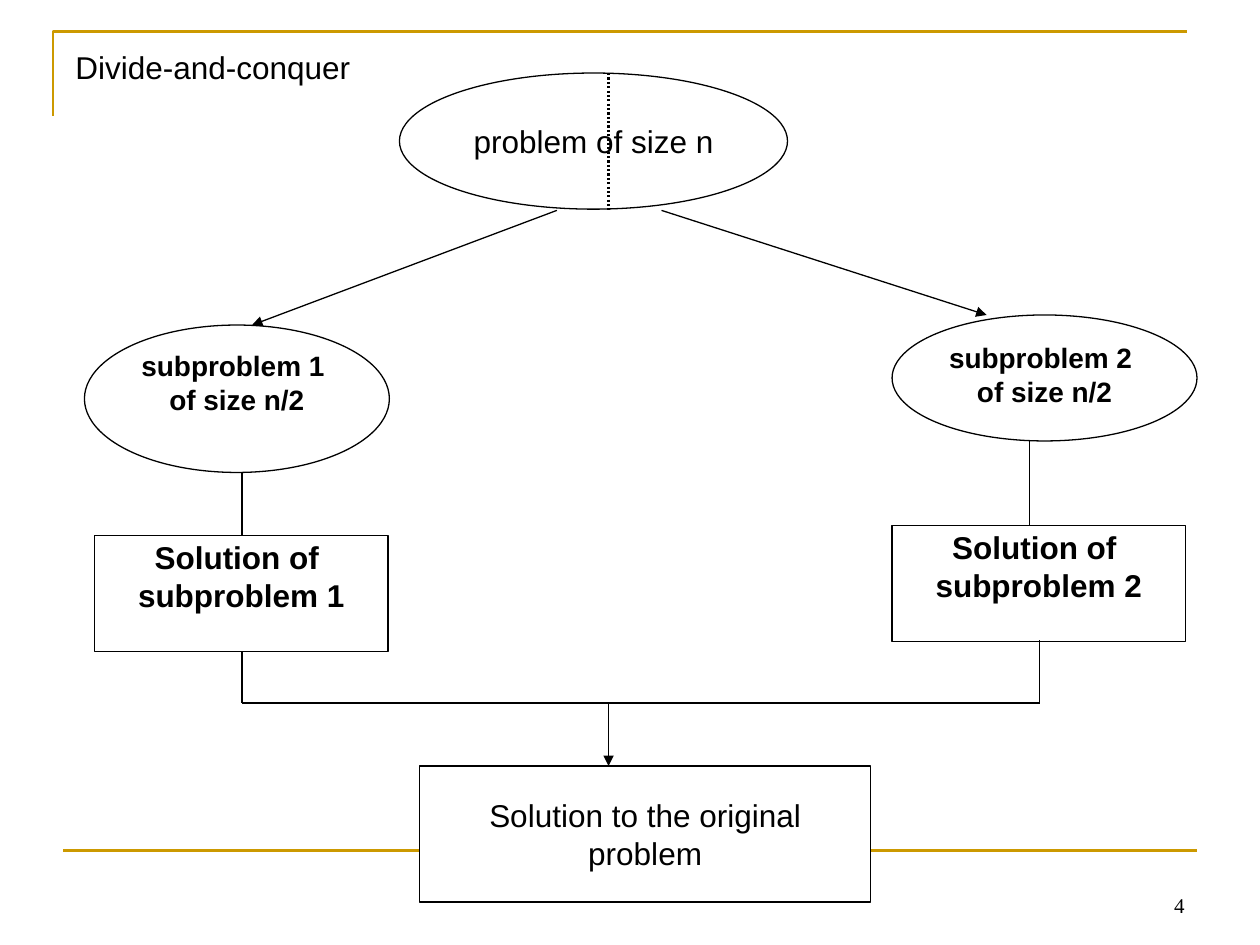
from lxml import etree
from pptx import Presentation
from pptx import util as u
from pptx.dml.color import RGBColor
from pptx.enum import dml, shapes, text
from pptx.oxml import ns

BLACK = RGBColor(0x00, 0x00, 0x00)
WHITE = RGBColor(0xFF, 0xFF, 0xFF)
GOLD = RGBColor(0xCC, 0x99, 0x00)

OVAL = shapes.MSO_SHAPE.OVAL
BOX = shapes.MSO_SHAPE.RECTANGLE
MIDDLE = text.MSO_ANCHOR.MIDDLE


def write(frame, content, size=18, font="Arial", bold=False, color=BLACK,
          align=text.PP_ALIGN.LEFT, anchor=text.MSO_ANCHOR.TOP, wrap=True, lift=0):
    """Put one paragraph per line into frame; lift moves centred text up by that many inches."""
    frame.word_wrap = wrap
    frame.vertical_anchor = anchor
    if lift:
        frame.margin_top = 0
        frame.margin_bottom = u.Inches(2 * lift)
    for index, line in enumerate(content.split("\n")):
        paragraph = frame.paragraphs[0] if index == 0 else frame.add_paragraph()
        paragraph.alignment = align
        run = paragraph.add_run()
        run.text = line
        run.font.size = u.Pt(size)
        run.font.name = font
        run.font.bold = bold
        run.font.color.rgb = color


class Diagram:
    """Adds styled elements to one slide; all lengths are in inches."""

    def __init__(self, slide, color=BLACK, width=0.75):
        self.slide = slide
        self.color = color
        self.width = width

    def stroke(self, line, color=None, width=None):
        line.color.rgb = color or self.color
        line.width = u.Pt(width or self.width)

    def node(self, kind, left, top, width, height, content, fill=None, **style):
        shape = self.slide.shapes.add_shape(kind, *map(u.Inches, (left, top, width, height)))
        shape.shadow.inherit = False
        if fill is None:
            shape.fill.background()
        else:
            shape.fill.solid()
            shape.fill.fore_color.rgb = fill
        self.stroke(shape.line)
        write(shape.text_frame, content, align=text.PP_ALIGN.CENTER,
              anchor=MIDDLE, wrap=False, **style)

    def label(self, left, top, width, height, content, **style):
        shape = self.slide.shapes.add_textbox(*map(u.Inches, (left, top, width, height)))
        write(shape.text_frame, content, **style)

    def line(self, start, end, color=None, width=None, dash=None, arrow=False):
        connector = self.slide.shapes.add_connector(
            shapes.MSO_CONNECTOR.STRAIGHT, *map(u.Inches, (*start, *end)))
        self.stroke(connector.line, color, width)
        if dash:
            connector.line.dash_style = dash
        if arrow:
            etree.SubElement(connector.line._get_or_add_ln(), ns.qn("a:tailEnd"), type="triangle")
        etree.SubElement(connector._element.spPr, ns.qn("a:effectLst"))

    def outline(self, points, color, width):
        start, *others = [(u.Inches(x), u.Inches(y)) for x, y in points]
        builder = self.slide.shapes.build_freeform(*start)
        builder.add_line_segments(others, close=False)
        shape = builder.convert_to_shape()
        shape.shadow.inherit = False
        shape.fill.background()
        self.stroke(shape.line, color, width)


def main():
    presentation = Presentation()
    presentation.slide_width = u.Inches(10)
    presentation.slide_height = u.Inches(7.5)
    diagram = Diagram(presentation.slides.add_slide(presentation.slide_layouts[6]))

    # Frame and page number
    diagram.outline([(0.42, 0.92), (0.42, 0.25), (9.42, 0.25)], GOLD, 1.5)
    diagram.line((0.5, 6.75), (9.5, 6.75), GOLD, 1.5)
    diagram.label(7.17, 6.83, 2.33, 0.5, "4", size=12, font="Times New Roman",
                  align=text.PP_ALIGN.RIGHT, anchor=text.MSO_ANCHOR.BOTTOM)

    # Problem, split in two
    diagram.node(OVAL, 3.17, 0.58, 3.08, 1.08, "problem of size n")
    diagram.line((4.83, 0.58), (4.83, 1.67), width=1.25, dash=dml.MSO_LINE.ROUND_DOT)

    # Subproblems and their solutions
    branches = [
        (1, (0.67, 2.58, 2.42, 1.17), 0.13, (0.75, 4.25, 2.33, 0.92)),
        (2, (7.08, 2.5, 2.42, 1), 0.03, (7.08, 4.17, 2.33, 0.92)),
    ]
    for number, oval, lift, box in branches:
        diagram.node(OVAL, *oval, f"subproblem {number} \nof size n/2",
                     size=16, bold=True, lift=lift)
        diagram.node(BOX, *box, f"Solution of \nsubproblem {number}", bold=True, lift=0.14)

    diagram.node(BOX, 3.33, 6.08, 3.58, 1.08, "Solution to the original\nproblem", fill=WHITE)

    # Links between the steps
    links = [
        ((1.92, 5.17), (1.92, 5.58)),
        ((1.92, 5.58), (8.25, 5.58)),
        ((8.25, 5.58), (8.25, 5.08)),
        ((1.92, 4.25), (1.92, 3.75)),
        ((8.17, 4.17), (8.17, 3.5)),
    ]
    arrows = [
        ((4.42, 1.67), (2, 2.58)),
        ((5.25, 1.67), (7.83, 2.5)),
        ((4.83, 5.58), (4.83, 6.08)),
    ]
    for start, end in links:
        diagram.line(start, end)
    for start, end in arrows:
        diagram.line(start, end, arrow=True)

    diagram.label(0.5, 0.33, 2.92, 0.4, "Divide-and-conquer")
    presentation.save("out.pptx")


if __name__ == "__main__":
    main()
